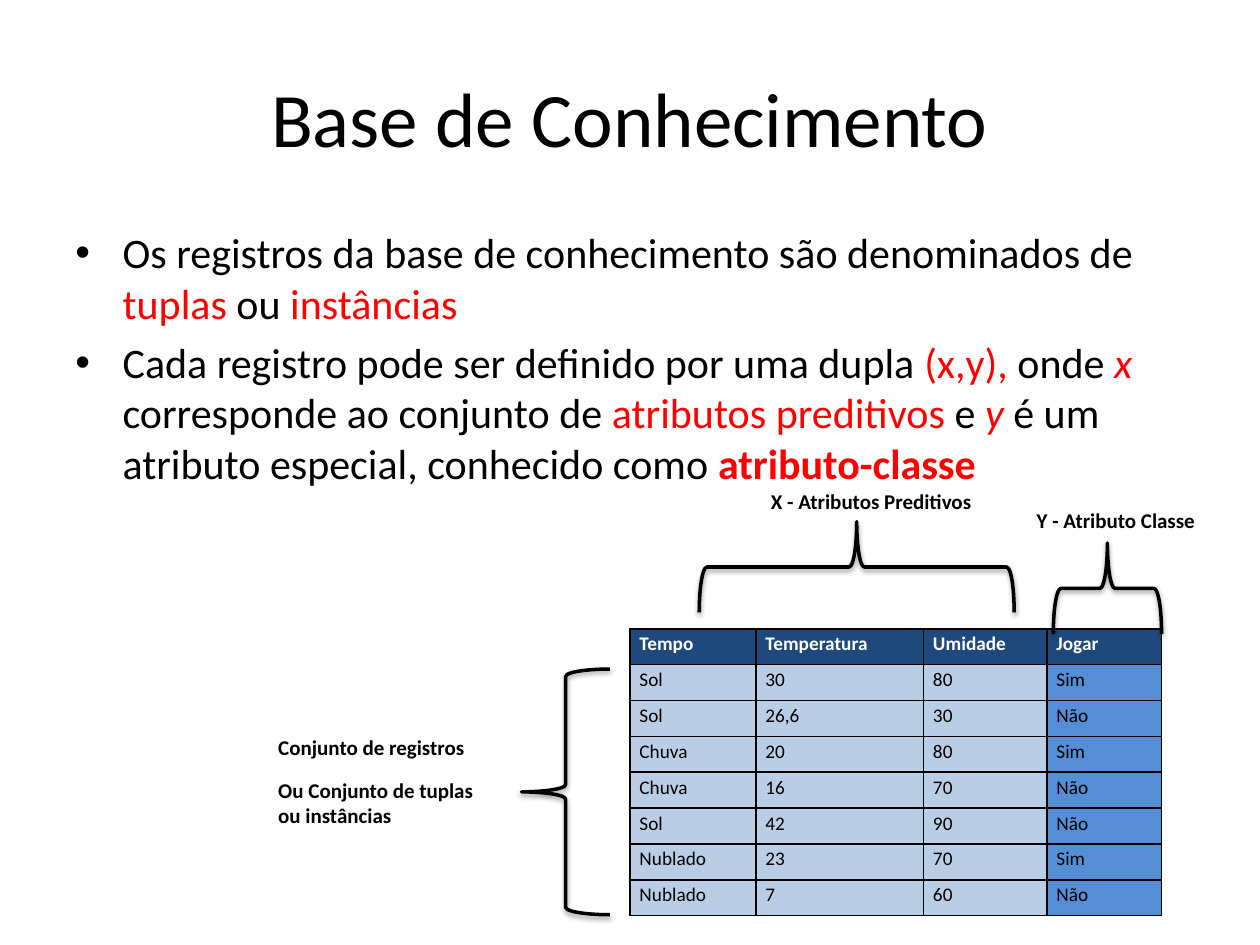
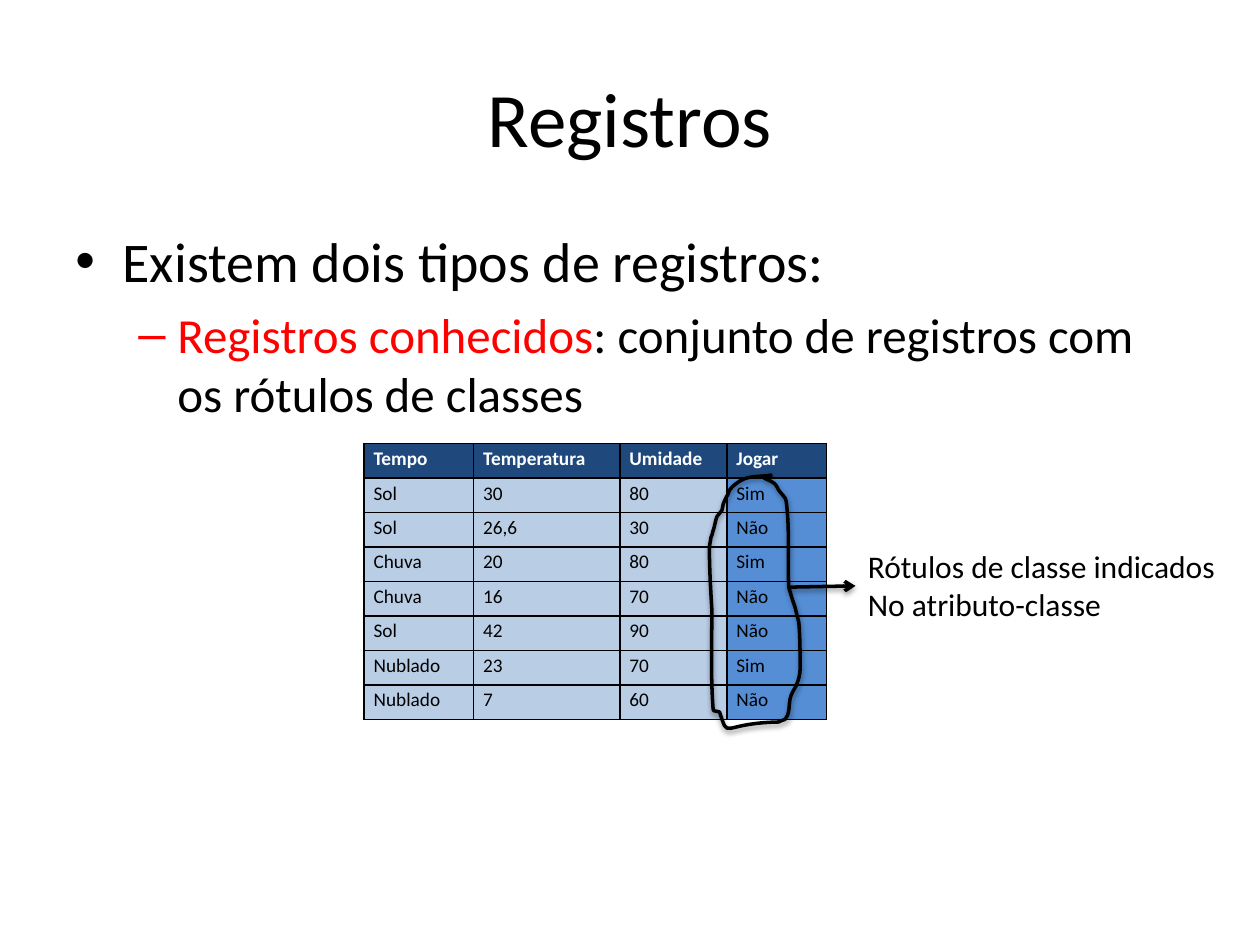
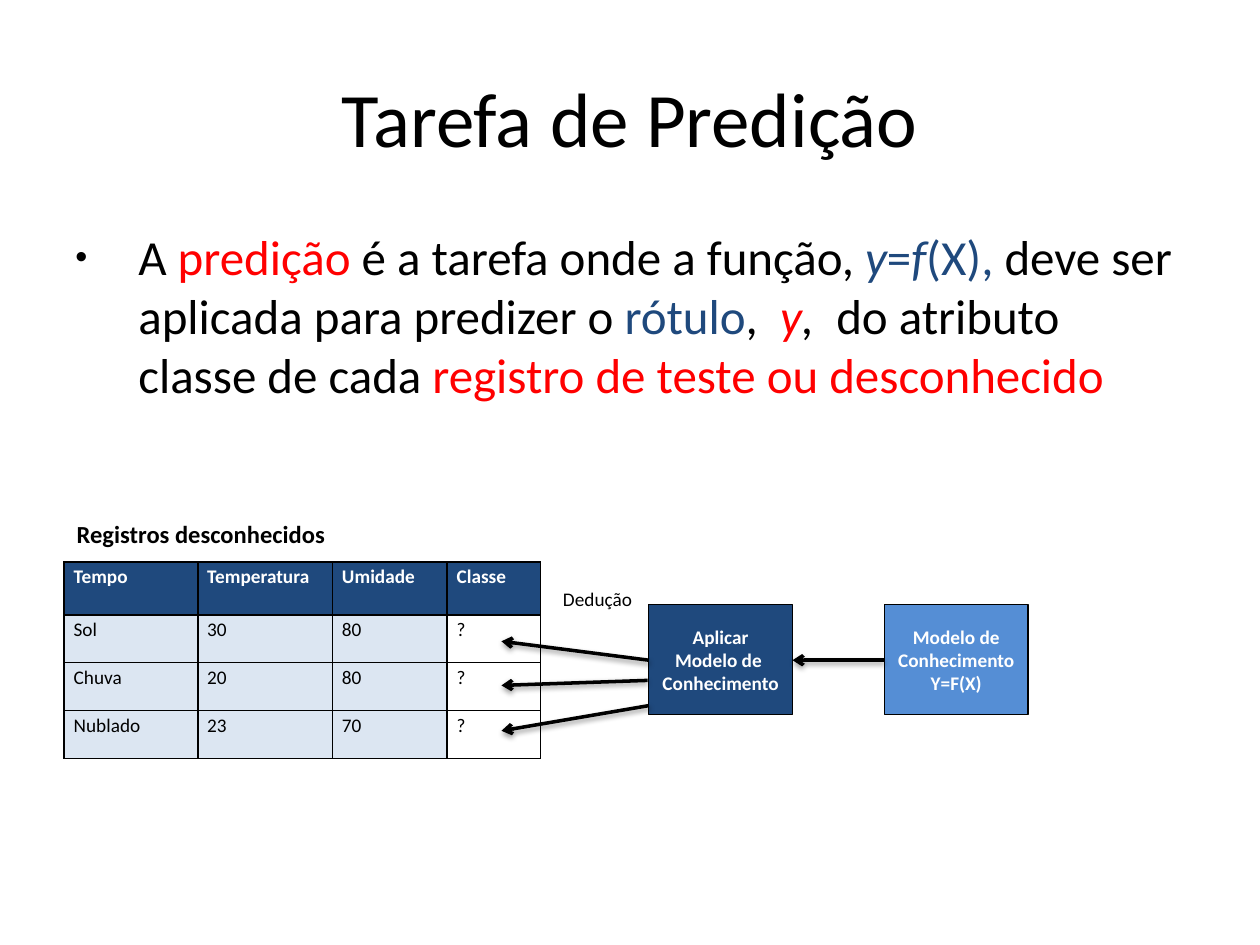
"""Build three slides on knowledge bases, records and the prediction task."""
import lxml.etree
import pptx
import pptx.dml.color
import pptx.enum.shapes
import pptx.enum.text
import pptx.oxml.ns
import pptx.util

Inches, Pt = pptx.util.Inches, pptx.util.Pt
SHAPE = pptx.enum.shapes.MSO_SHAPE
ANCHOR = pptx.enum.text.MSO_ANCHOR
ALIGN = pptx.enum.text.PP_ALIGN

FONT = "Calibri"
BLACK, WHITE, RED = "000000", "FFFFFF", "FF0000"
NAVY, BLUE, PALE, PALEST = "1F497D", "558ED5", "B9CDE5", "DCE6F2"
TITLE_BOX = (0.5, 0.3, 9, 1.25)
BODY_BOX = (0.5, 1.75, 9, 4.95)

KNOWLEDGE_TEXT = [
    ["Os registros da base de conhecimento são denominados de ", ("tuplas", RED),
     " ou ", ("instâncias", RED)],
    ["Cada registro pode ser definido por uma dupla ", ("(x,y), ", RED), "onde ",
     ("x ", RED, "i"), "corresponde ao conjunto de ", ("atributos preditivos ", RED),
     "e ", ("y ", RED, "i"), "é um atributo especial, conhecido como ",
     ("atributo-classe", RED, "b")],
]
RECORD_TYPES = "Existem dois tipos de registros:"
KNOWN_RECORDS = [("Registros conhecidos", RED),
                 ": conjunto de registros com os rótulos de classes"]
PREDICTION_TEXT = [
    "A ", ("predição ", RED), "é a tarefa onde a função, ", ("y", NAVY, "i"),
    ("=", NAVY), ("f", NAVY, "i"), ("(X), ", NAVY), "deve ser aplicada para predizer o ",
    ("rótulo", NAVY), ",  ", ("y", RED, "i"), (",  ", BLACK, "i"),
    "do atributo classe de cada ", ("registro de teste ou desconhecido", RED),
]
WEATHER = [
    ("Tempo", "Temperatura", "Umidade", "Jogar"),
    ("Sol", "30", "80", "Sim"),
    ("Sol", "26,6", "30", "Não"),
    ("Chuva", "20", "80", "Sim"),
    ("Chuva", "16", "70", "Não"),
    ("Sol", "42", "90", "Não"),
    ("Nublado", "23", "70", "Sim"),
    ("Nublado", "7", "60", "Não"),
]
UNKNOWN = [
    ("Tempo", "Temperatura", "Umidade", "Classe"),
    ("Sol", "30", "80", "?"),
    ("Chuva", "20", "80", "?"),
    ("Nublado", "23", "70", "?"),
]
KNOWLEDGE_LABELS = [
    ((6.02, 3.83, 1.95, 0.23), ["X - Atributos Preditivos"]),
    ((8.13, 3.98, 1.56, 0.23), ["Y - Atributo Classe"]),
    ((2.11, 5.78, 1.95, 0.94),
     ["Conjunto de registros", "Ou Conjunto de tuplas ou instâncias"]),
]
BRACES = [
    (SHAPE.RIGHT_BRACE, (6.44, 3.25, 0.72, 2.5), 270),
    (SHAPE.RIGHT_BRACE, (8.43, 4.24, 0.72, 0.86), 270),
    (SHAPE.LEFT_BRACE, (4.14, 5.31, 0.7, 1.95), 0),
]
LOOP_START = (6.13, 3.77)
LOOP_CURVES = [
    (5.98, 3.79, 5.93, 3.77, 5.84, 3.84), (5.82, 3.85, 5.81, 3.87, 5.79, 3.89),
    (5.75, 4, 5.8, 3.86, 5.74, 4), (5.74, 4.02, 5.73, 4.03, 5.73, 4.05),
    (5.72, 4.07, 5.7, 4.08, 5.69, 4.1), (5.68, 4.12, 5.67, 4.19, 5.66, 4.21),
    (5.63, 4.33, 5.66, 4.17, 5.63, 4.34), (5.63, 4.51, 5.64, 4.67, 5.65, 4.84),
    (5.65, 5.1, 5.64, 5.37, 5.66, 5.63), (5.66, 5.65, 5.69, 5.64, 5.71, 5.65),
    (5.79, 5.88, 5.71, 5.74, 6.18, 5.73), (6.19, 5.72, 6.21, 5.72, 6.23, 5.71),
    (6.27, 5.67, 6.26, 5.6, 6.27, 5.55), (6.28, 5.5, 6.3, 5.48, 6.32, 5.44),
    (6.34, 5.39, 6.35, 5.35, 6.35, 5.31), (6.35, 5.18, 6.35, 5.06, 6.34, 4.94),
    (6.33, 4.9, 6.32, 4.86, 6.31, 4.82), (6.3, 4.8, 6.3, 4.78, 6.29, 4.76),
    (6.28, 4.73, 6.26, 4.66, 6.26, 4.66), (6.25, 4.44, 6.27, 4.21, 6.24, 3.98),
    (6.24, 3.95, 6.2, 3.92, 6.18, 3.89), (6.17, 3.87, 6.16, 3.85, 6.15, 3.84),
    (6.09, 3.8, 6.11, 3.82, 6.06, 3.79),
]
MODEL_STEPS = [
    ((5.15, 4.8, 1.14, 0.87), "Aplicar\nModelo de \nConhecimento", NAVY),
    ((7.02, 4.8, 1.14, 0.87), "Modelo de\nConhecimento Y=F(X)", BLUE),
]
DEDUCTION_ARROWS = [
    ((5.15, 5.24), (3.98, 5.09)),
    ((7.02, 5.24), (6.29, 5.24)),
    ((5.14, 5.4), (3.98, 5.44)),
    ((5.15, 5.6), (3.98, 5.8)),
]


def color(value):
    return pptx.dml.color.RGBColor.from_string(value)


def add_xml(parent, tag, **attributes):
    child = lxml.etree.SubElement(parent, pptx.oxml.ns.qn("a:" + tag))
    for key, value in attributes.items():
        child.set(key, str(value))
    return child


def inches(box):
    return [Inches(length) for length in box]


def write(paragraph, text, size=18, ink=BLACK, bold=False, align=ALIGN.LEFT, before=0,
          after=0, spacing=None, bullet=None, indent=(0, 0), bullet_size=100, level=0):
    paragraph.alignment, paragraph.level = align, level
    paragraph.space_before, paragraph.space_after = Pt(before), Pt(after)
    paragraph.line_spacing = spacing
    for part in [text] if isinstance(text, str) else text:
        words, tone, style = ((part, ink, "") if isinstance(part, str)
                              else (*part, "")[:3])
        for number, line in enumerate(words.split("\n")):
            if number:
                paragraph.add_line_break()
            run = paragraph.add_run()
            run.text = line
            run.font.name, run.font.size = FONT, Pt(size)
            run.font.bold, run.font.italic = bold or style == "b", style == "i"
            run.font.color.rgb = color(tone)
    if bullet:
        properties = paragraph._p.get_or_add_pPr()
        properties.set("marL", str(Inches(indent[0])))
        properties.set("indent", str(Inches(indent[1])))
        if bullet_size != 100:
            add_xml(properties, "buSzPct", val=bullet_size * 1000)
        add_xml(properties, "buFont", typeface="Arial")
        add_xml(properties, "buChar", char=bullet)


def fill_frame(frame, paragraphs, anchor=ANCHOR.TOP, wrap=True):
    frame.word_wrap, frame.vertical_anchor = wrap, anchor
    for number, (text, style) in enumerate(paragraphs):
        write(frame.add_paragraph() if number else frame.paragraphs[0], text, **style)


def add_text(slide, box, paragraphs, **frame_format):
    fill_frame(slide.shapes.add_textbox(*inches(box)).text_frame, paragraphs, **frame_format)


def add_box(slide, box, texts, fill=WHITE, border=False, anchor=ANCHOR.TOP, **style):
    panel = slide.shapes.add_shape(SHAPE.RECTANGLE, *inches(box))
    panel.shadow.inherit = False
    panel.fill.solid()
    panel.fill.fore_color.rgb = color(fill)
    if border:
        panel.line.color.rgb, panel.line.width = color(BLACK), Pt(0.75)
    else:
        panel.line.fill.background()
    fill_frame(panel.text_frame, [(text, dict(style, after=10)) for text in texts], anchor)


def draw_stroke(stroke):
    stroke.line.color.rgb, stroke.line.width = color(BLACK), Pt(2)
    effects = add_xml(stroke._element.spPr, "effectLst")
    shadow = add_xml(effects, "outerShdw", blurRad=Pt(3.1), dist=Pt(1.6),
                     dir=90 * 60000, rotWithShape=0)
    add_xml(add_xml(shadow, "srgbClr", val=BLACK), "alpha", val=38000)


def add_arrow(slide, start, end):
    arrow = slide.shapes.add_connector(
        pptx.enum.shapes.MSO_CONNECTOR.STRAIGHT, *inches(start + end))
    draw_stroke(arrow)
    add_xml(arrow.line._get_or_add_ln(), "tailEnd", type="arrow")


def add_records(slide, corner, widths, heights, records, fill, class_fill):
    box = (*corner, sum(widths), sum(heights))
    grid = slide.shapes.add_table(len(records), len(widths), *inches(box)).table
    for column, width in zip(grid.columns, widths):
        column.width = Inches(width)
    for r, record in enumerate(records):
        grid.rows[r].height = Inches(heights[r])
        for c, value in enumerate(record):
            cell = grid.cell(r, c)
            cell.margin_left = cell.margin_right = Pt(5.4)
            cell.margin_top = cell.margin_bottom = 0
            write(cell.text_frame.paragraphs[0], value, size=11, spacing=1.15,
                  ink=BLACK if r else WHITE, bold=r == 0)
            properties = cell._tc.get_or_add_tcPr()
            for side in ("lnL", "lnR", "lnT", "lnB"):
                border = add_xml(properties, side, w=Pt(1))
                add_xml(add_xml(border, "solidFill"), "srgbClr", val=BLACK)
            tone = NAVY if r == 0 else class_fill if c == len(record) - 1 else fill
            if tone:
                cell.fill.solid()
                cell.fill.fore_color.rgb = color(tone)
            else:
                cell.fill.background()


def add_curves(slide, start, curves):
    builder = slide.shapes.build_freeform(*inches(start))
    points = [inches(curve[i:i + 2]) for curve in curves for i in (0, 2, 4)]
    builder.add_line_segments(points, close=False)
    outline = builder.convert_to_shape()
    segments = list(outline._element.iter(pptx.oxml.ns.qn("a:lnTo")))
    track = segments[0].getparent()
    for first in range(0, len(segments), 3):
        bezier = add_xml(track, "cubicBezTo")
        for segment in segments[first:first + 3]:
            bezier.append(segment[0])
            track.remove(segment)
    outline.fill.background()
    draw_stroke(outline)


def bullet_style(size, **changes):
    return dict(dict(size=size, before=size * 0.21, bullet="•", indent=(0.375, -0.375)), **changes)


def add_slide(title, body):
    slide = deck.slides.add_slide(deck.slide_layouts[6])
    add_text(slide, TITLE_BOX, [(title, dict(size=44, align=ALIGN.CENTER))],
             anchor=ANCHOR.MIDDLE)
    add_text(slide, BODY_BOX, body)
    return slide


deck = pptx.Presentation()
deck.slide_width, deck.slide_height = Inches(10), Inches(7.5)

knowledge = add_slide("Base de Conhecimento",
                      [(text, bullet_style(24)) for text in KNOWLEDGE_TEXT])
add_records(knowledge, (5, 4.99), (1, 1.33, 0.98, 0.91), [2.28 / 8] * 8, WEATHER, PALE, BLUE)
for box, texts in KNOWLEDGE_LABELS:
    add_box(knowledge, box, texts, size=12, bold=True)
for kind, box, turn in BRACES:
    brace = knowledge.shapes.add_shape(kind, *inches(box))
    brace.rotation = turn
    brace.fill.background()
    draw_stroke(brace)

records = add_slide("Registros", [
    (RECORD_TYPES, bullet_style(32)),
    (KNOWN_RECORDS, bullet_style(28, bullet="–", indent=(0.81, -0.31), level=1)),
])
add_records(records, (2.89, 3.52), (0.87, 1.16, 0.85, 0.79), [2.19 / 8] * 8,
            WEATHER, PALE, BLUE)
add_curves(records, LOOP_START, LOOP_CURVES)
add_text(records, (6.79, 4.29, 3.05, 0.71),
         [("Rótulos de classe indicados ", {}), ("No atributo-classe", {})], wrap=False)
add_arrow(records, (6.26, 4.66), (6.79, 4.65))

prediction = add_slide("Tarefa de Predição", [
    (PREDICTION_TEXT, bullet_style(28, before=6, indent=(0.5, -0.5), bullet_size=70, level=1)),
])
add_records(prediction, (0.51, 4.46), (1.06, 1.07, 0.91, 0.74), [0.42] + [0.38] * 3,
            UNKNOWN, PALEST, None)
add_box(prediction, (0.51, 4.07, 2.93, 0.38), ["Registros desconhecidos"], size=14, bold=True)
for box, step, fill in MODEL_STEPS:
    add_box(prediction, box, [step], fill=fill, border=True, anchor=ANCHOR.MIDDLE,
            size=11, ink=WHITE, bold=True, align=ALIGN.CENTER)
add_box(prediction, (4.37, 4.61, 0.77, 0.38), ["Dedução"], size=11)
for start, end in DEDUCTION_ARROWS:
    add_arrow(prediction, start, end)

deck.save("out.pptx")
